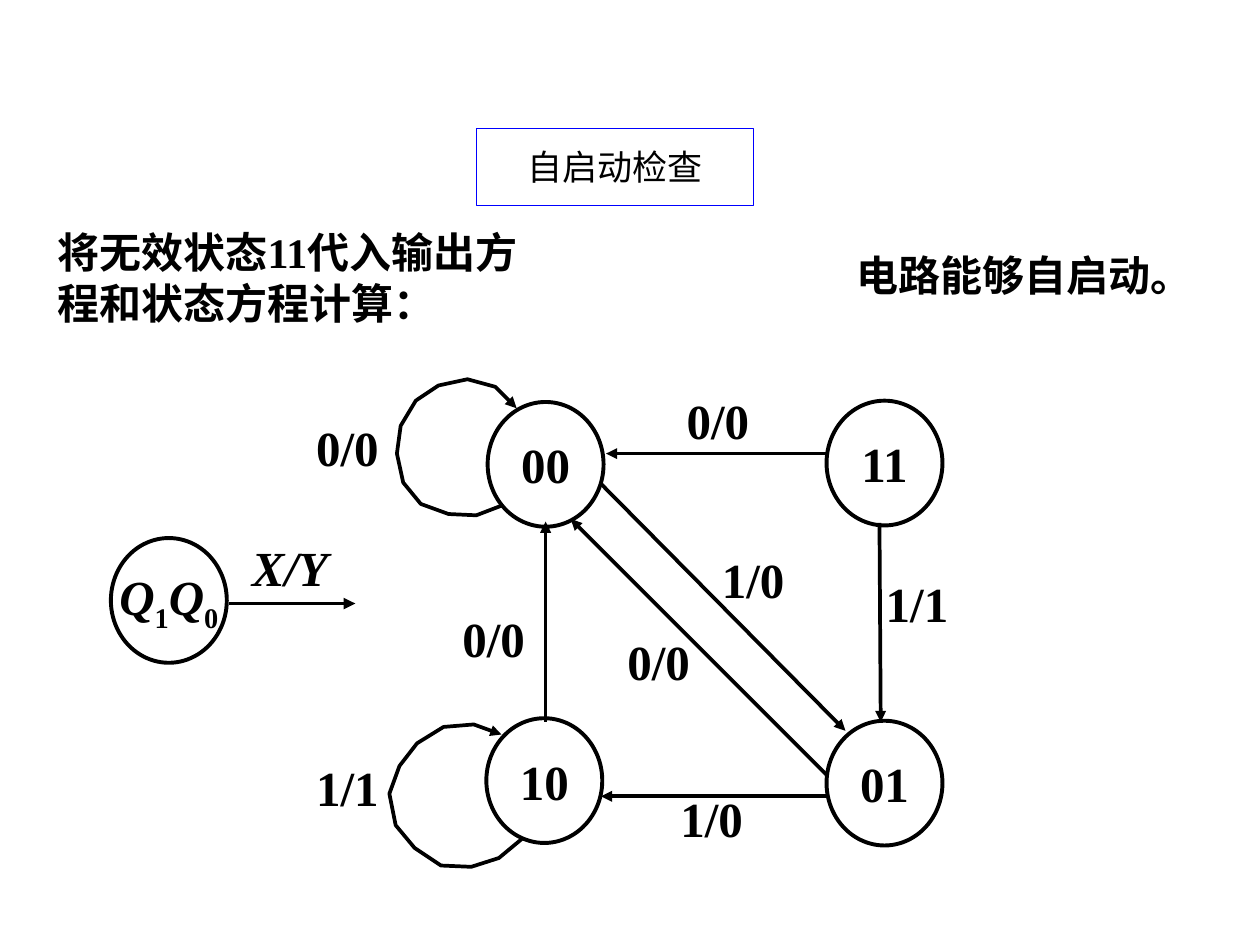
from lxml.etree import SubElement
from pptx import Presentation
from pptx.dml.color import RGBColor
from pptx.enum.shapes import MSO_CONNECTOR, MSO_SHAPE
from pptx.enum.text import MSO_ANCHOR, PP_ALIGN
from pptx.oxml.ns import qn
from pptx.util import Inches, Pt


def color(value):
    return RGBColor.from_string(value)


class StateDiagram:
    cell = Inches(0.1)
    font = "Times New Roman"
    ink = "000000"
    frame = "0000FF"
    node_size = (9.2, 9.9)
    label_size = (5, 4.7)
    stroke = 2.13
    node_stroke = 2.25

    def __init__(self, prs):
        self.s = prs.slides.add_slide(prs.slide_layouts[6])

    def grid(self, *values):
        return [round(v * self.cell) for v in values]

    def set_text(self, sp, runs, size, font=None, bold=True, italic=None,
                 align=PP_ALIGN.LEFT, anchor=MSO_ANCHOR.TOP, wrap=True, inset=True):
        tf = sp.text_frame
        tf.word_wrap = wrap
        tf.vertical_anchor = anchor
        if not inset:
            tf.margin_left = tf.margin_right = tf.margin_top = tf.margin_bottom = 0
        p = tf.paragraphs[0]
        p.alignment = align
        p.font.name = font or self.font
        p.font.size = Pt(size)
        p.font.bold = bold
        p.font.italic = italic
        p.font.color.rgb = color(self.ink)
        for text, subscript in runs:
            r = p.add_run()
            r.text = text
            if subscript:
                r.font.italic = False
                r._r.get_or_add_rPr().set("baseline", "-25000")

    def outline(self, sp, ink, width):
        sp.shadow.inherit = False
        sp.fill.background()
        sp.line.color.rgb = color(ink)
        sp.line.width = Pt(width)

    def text(self, x, y, w, h, text, size=24, **style):
        sp = self.s.shapes.add_textbox(*self.grid(x, y, w, h))
        self.set_text(sp, [(text, False)], size, **style)

    def label(self, x, y, text):
        self.text(x, y, *self.label_size, text, size=28, wrap=False, inset=False)

    def title(self, x, y, w, h, text):
        sp = self.s.shapes.add_shape(MSO_SHAPE.RECTANGLE, *self.grid(x, y, w, h))
        self.outline(sp, self.frame, 0.75)
        self.set_text(sp, [(text, False)], 20, font="Calibri", bold=False,
                      align=PP_ALIGN.CENTER, anchor=MSO_ANCHOR.MIDDLE)

    def node(self, x, y, runs, italic=None):
        sp = self.s.shapes.add_shape(MSO_SHAPE.OVAL, *self.grid(x, y, *self.node_size))
        self.outline(sp, self.ink, self.node_stroke)
        self.set_text(sp, runs, 28, italic=italic, align=PP_ALIGN.CENTER,
                      anchor=MSO_ANCHOR.MIDDLE, wrap=False)

    def arrowhead(self, line):
        SubElement(line._get_or_add_ln(), qn("a:tailEnd"), type="triangle")

    def arrow(self, x1, y1, x2, y2, width=stroke):
        cn = self.s.shapes.add_connector(MSO_CONNECTOR.STRAIGHT, *self.grid(x1, y1, x2, y2))
        cn.line.color.rgb = color(self.ink)
        cn.line.width = Pt(width)
        self.arrowhead(cn.line)
        SubElement(cn._element.spPr, qn("a:effectLst"))

    def loop(self, points):
        start, *rest = [self.grid(*point) for point in points]
        fb = self.s.shapes.build_freeform(*start)
        fb.add_line_segments(rest, close=False)
        sp = fb.convert_to_shape()
        self.outline(sp, self.ink, self.stroke)
        self.arrowhead(sp.line)


def main():
    prs = Presentation()
    prs.slide_width, prs.slide_height = Inches(10), Inches(7.5)
    d = StateDiagram(prs)

    d.title(37.8, 10.2, 22, 6.1, "自启动检查")
    d.text(3.6, 17.5, 39, 9, "将无效状态11代入输出方程和状态方程计算：")
    d.text(67, 19.3, 27.2, 5, "电路能够自启动。")

    for ends in [
        (65.6, 36, 48.1, 36),
        (69.8, 41.5, 69.9, 57.3),
        (65.7, 63.2, 47.7, 63.2),
        (43.3, 57.3, 43.3, 41.4),
        (65.7, 61.6, 45.3, 41.2),
        (47.7, 38.4, 67.1, 58),
    ]:
        d.arrow(*ends)
    d.arrow(18.2, 47.9, 28.2, 47.9, width=d.node_stroke)

    d.loop([(39.9, 40.1), (37.8, 40.9), (35.6, 40.8), (33.4, 40),
            (32, 38.3), (31.5, 36), (31.8, 33.8), (33, 31.8),
            (34.8, 30.6), (37.1, 30.1), (39.3, 30.7), (41, 32.4)])
    d.loop([(41.4, 66.6), (39.6, 68.1), (37.4, 68.8), (35, 68.7),
            (32.9, 67.3), (31.4, 65.5), (30.9, 63), (31.7, 60.8),
            (33.1, 59), (35.2, 57.7), (37.6, 57.5), (39.8, 58.3)])

    for x, y, text in [
        (70.3, 45.5, "1/1"),
        (54.5, 31, "0/0"),
        (54, 62.6, "1/0"),
        (36.7, 48.3, "0/0"),
        (49.8, 50.1, "0/0"),
        (25.1, 60.1, "1/1"),
        (25.1, 33.1, "0/0"),
        (57.3, 43.6, "1/0"),
    ]:
        d.label(x, y, text)
    d.text(20, 42.7, 8.4, 4.7, "X/Y", size=28, italic=True, inset=False)

    for x, y, state in [(65.6, 31.8, "11"), (38.7, 31.9, "00"),
                        (38.6, 57, "10"), (65.6, 57.2, "01")]:
        d.node(x, y, [(state, False)])
    d.node(8.8, 42.7, [("Q", False), ("1", True), ("Q", False), ("0", True)], italic=True)

    prs.save("out.pptx")


if __name__ == "__main__":
    main()
